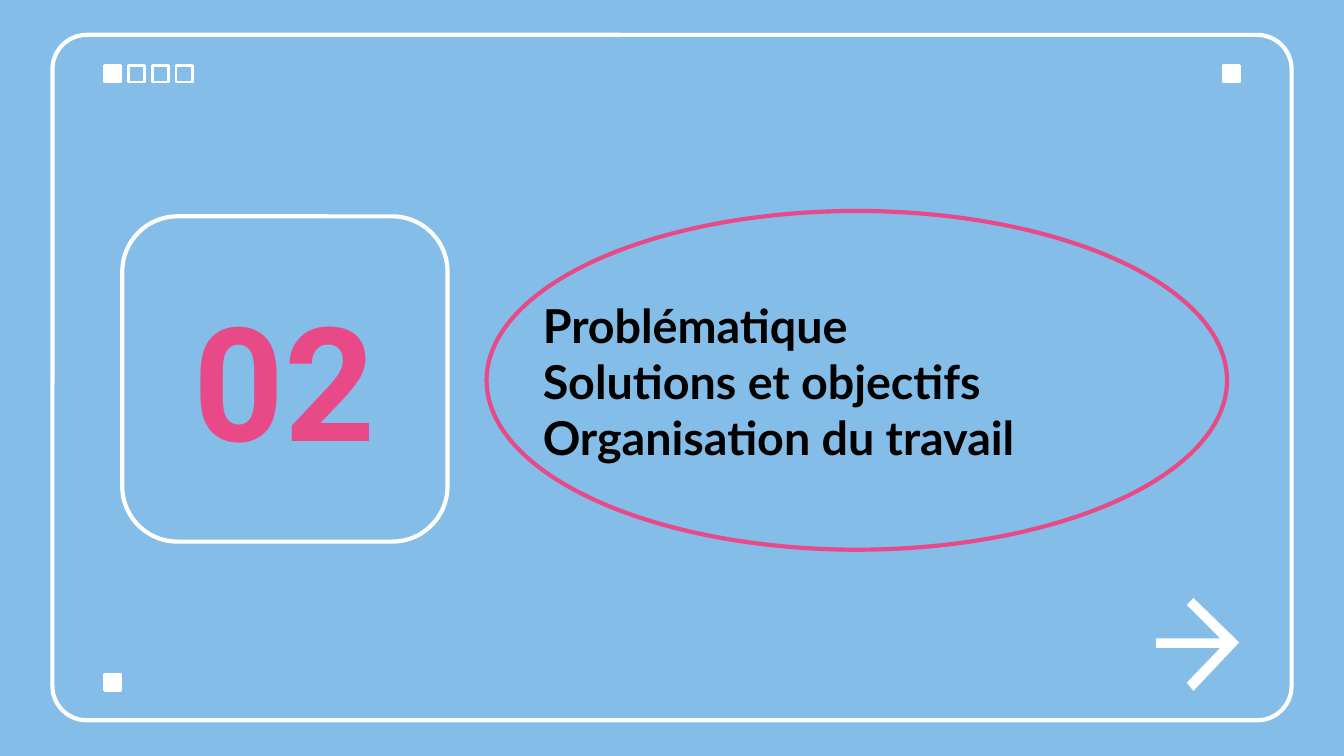
from dataclasses import dataclass

from pptx import Presentation
from pptx.dml.color import RGBColor
from pptx.enum import shapes, text
from pptx.util import Inches, Pt


@dataclass(frozen=True)
class Theme:
    background: RGBColor = RGBColor(0x84, 0xBD, 0xE7)
    white: RGBColor = RGBColor(0xFF, 0xFF, 0xFF)
    pink: RGBColor = RGBColor(0xE8, 0x49, 0x87)
    black: RGBColor = RGBColor(0x00, 0x00, 0x00)
    title_font: str = "Lato"
    number_font: str = "Roboto"
    title_size: float = 25
    number_size: float = 85
    outline: float = 2.25
    thin_outline: float = 1.5


THEME = Theme()
SHAPE = shapes.MSO_SHAPE
SLIDE_WIDTH = 10
SLIDE_HEIGHT = SLIDE_WIDTH * 9 / 16
MARKER_SIZE = 0.12
LEFT, RIGHT, TOP, BOTTOM = 0.78, 9.1, 0.49, 5.02
MARKER_COUNT = 4
MARKER_STEP = (1.31 - LEFT) / (MARKER_COUNT - 1)
ARROW = [(8.88, 4.45), (8.83, 4.5), (9.08, 4.75), (8.6, 4.75), (8.6, 4.82),
         (9.08, 4.82), (8.83, 5.08), (8.88, 5.14), (9.22, 4.78)]


def add_outline(slide, kind, area, color, width=THEME.outline, corner=None):
    shape = slide.shapes.add_shape(kind, *map(Inches, area))
    shape.shadow.inherit = False
    shape.fill.background()
    shape.line.color.rgb = color
    shape.line.width = Pt(width)
    if corner is not None:
        shape.adjustments[0] = corner
    return shape


def add_marker(slide, left, top, filled=True):
    marker = add_outline(slide, SHAPE.RECTANGLE, (left, top, MARKER_SIZE, MARKER_SIZE),
                         THEME.white, THEME.thin_outline)
    if filled:
        marker.fill.solid()
        marker.fill.fore_color.rgb = THEME.white


def add_text(slide, area, words, font, size, color, side_inset, align):
    box = slide.shapes.add_textbox(*map(Inches, area))
    frame = box.text_frame
    frame.word_wrap = True
    frame.vertical_anchor = text.MSO_ANCHOR.MIDDLE
    frame.margin_left = frame.margin_right = Inches(side_inset)
    frame.margin_top = frame.margin_bottom = Inches(0.1)
    para = frame.paragraphs[0]
    para.text = words
    para.alignment = align
    para.font.name = font
    para.font.size = Pt(size)
    para.font.bold = True
    para.font.color.rgb = color


def add_arrow(slide):
    points = [(Inches(x), Inches(y)) for x, y in ARROW]
    builder = slide.shapes.build_freeform(*points[0])
    builder.add_line_segments(points[1:], close=True)
    arrow = builder.convert_to_shape()
    arrow.shadow.inherit = False
    arrow.fill.solid()
    arrow.fill.fore_color.rgb = THEME.white
    arrow.line.fill.background()


def main():
    deck = Presentation()
    deck.slide_width, deck.slide_height = Inches(SLIDE_WIDTH), Inches(SLIDE_HEIGHT)
    slide = deck.slides.add_slide(deck.slide_layouts[6])
    slide.background.fill.solid()
    slide.background.fill.fore_color.rgb = THEME.background

    add_outline(slide, SHAPE.ROUNDED_RECTANGLE, (0.39, 0.26, 9.22, 5.1),
                THEME.white, corner=0.05)
    for index in range(MARKER_COUNT):
        add_marker(slide, LEFT + index * MARKER_STEP, TOP, filled=index == 0)

    add_outline(slide, SHAPE.OVAL, (3.62, 1.57, 5.51, 2.52), THEME.pink)
    add_outline(slide, SHAPE.ROUNDED_RECTANGLE, (0.91, 1.61, 2.42, 2.42),
                THEME.white, corner=0.17)
    add_text(slide, (3.94, 1.57, 5.91, 2.52),
             "Problématique\vSolutions et objectifs\vOrganisation du travail",
             THEME.title_font, THEME.title_size, THEME.black, 0.1, text.PP_ALIGN.LEFT)
    add_text(slide, (0.91, 1.87, 2.42, 1.89), "02",
             THEME.number_font, THEME.number_size, THEME.pink, 0, text.PP_ALIGN.CENTER)

    add_arrow(slide)
    add_marker(slide, LEFT, BOTTOM)
    add_marker(slide, RIGHT, TOP)
    deck.save("out.pptx")


if __name__ == "__main__":
    main()
